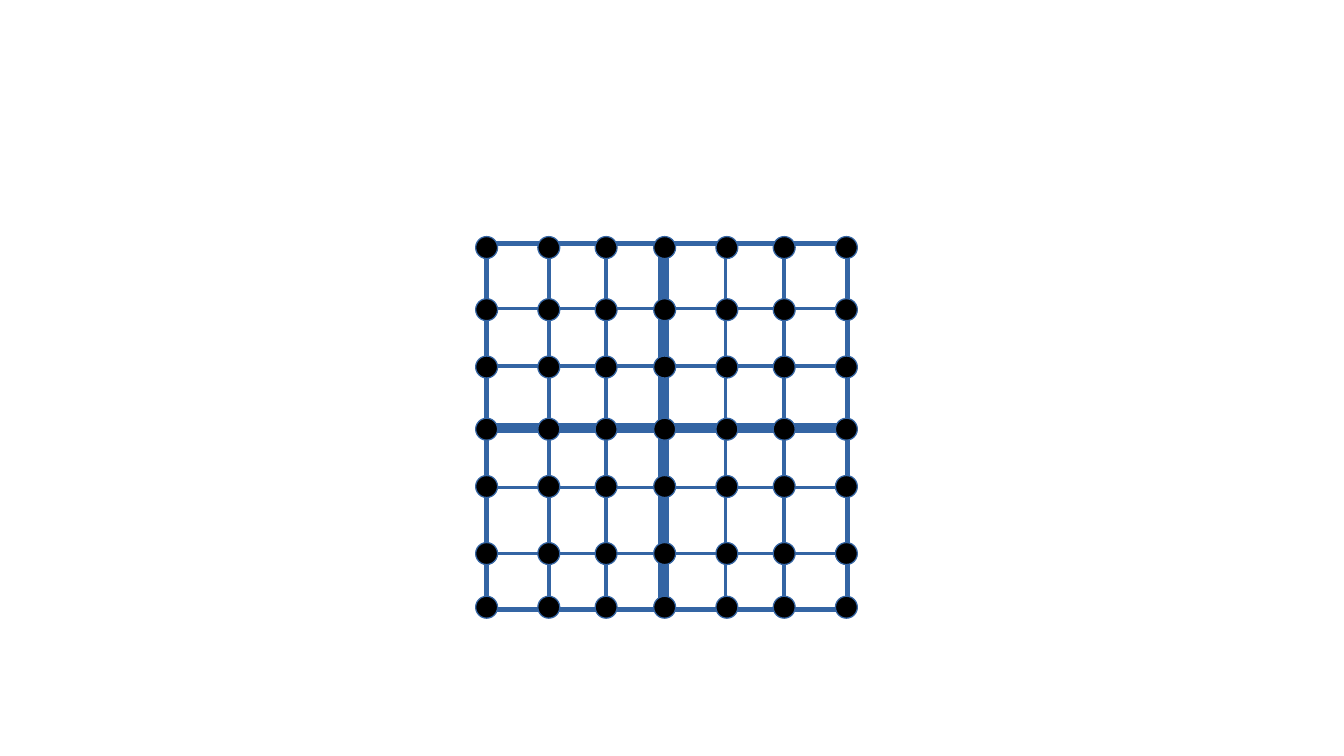
from pptx import Presentation
from pptx.dml.color import RGBColor
from pptx.enum.shapes import MSO_CONNECTOR, MSO_SHAPE
from pptx.oxml.ns import qn
from pptx.util import Inches, Pt
from lxml import etree

RECTANGLE = MSO_SHAPE.RECTANGLE
OVAL = MSO_SHAPE.OVAL
STRAIGHT = MSO_CONNECTOR.STRAIGHT

SLIDE_SIZE = (11.02, 6.2)
BLUE = "3465A4"
BLACK = "000000"
HAIRLINE, BORDER, AXIS = 0, 3, 6
LEFT, TOP, WIDTH, HEIGHT = 3.99, 2, 2.96, 3
LINE_RIGHT = 6.97
BOTTOM = TOP + HEIGHT
DOT = 0.18

COLUMN_LINES = [(4.5, HAIRLINE), (4.97, HAIRLINE), (5.44, AXIS), (5.95, HAIRLINE), (6.43, HAIRLINE)]
ROW_LINES = [(2.53, HAIRLINE), (3, HAIRLINE), (3.51, AXIS), (4, HAIRLINE), (4.54, HAIRLINE)]
DOT_COLUMNS = [3.99, 4.5, 4.97, 5.45, 5.96, 6.43, 6.94]
DOT_ROWS = [2.03, 2.54, 3.01, 3.52, 3.99, 4.54, 4.98]


def color(code):
    return RGBColor.from_string(code)


def set_line(shape, weight):
    shape.line.color.rgb = color(BLUE)
    shape.line.width = Pt(weight)


def add_figure(page, kind, left, top, width, height, weight, fill=None):
    figure = page.shapes.add_shape(kind, Inches(left), Inches(top), Inches(width), Inches(height))
    figure.shadow.inherit = False
    if fill:
        figure.fill.solid()
        figure.fill.fore_color.rgb = color(fill)
    else:
        figure.fill.background()
    set_line(figure, weight)


def add_line(page, start, end, weight):
    points = [Inches(value) for value in (*start, *end)]
    connector = page.shapes.add_connector(STRAIGHT, *points)
    set_line(connector, weight)
    etree.SubElement(connector._element.spPr, qn("a:effectLst"))


def main():
    deck = Presentation()
    deck.slide_width, deck.slide_height = (Inches(side) for side in SLIDE_SIZE)
    page = deck.slides.add_slide(deck.slide_layouts[6])

    add_figure(page, RECTANGLE, LEFT, TOP, WIDTH, HEIGHT, BORDER)
    for y, weight in ROW_LINES:
        add_line(page, (LEFT, y), (LINE_RIGHT, y), weight)
    for x, weight in COLUMN_LINES:
        add_line(page, (x, TOP), (x, BOTTOM), weight)
    for y in DOT_ROWS:
        for x in DOT_COLUMNS:
            add_figure(page, OVAL, x - DOT / 2, y - DOT / 2, DOT, DOT, HAIRLINE, BLACK)

    deck.save("out.pptx")


if __name__ == "__main__":
    main()
